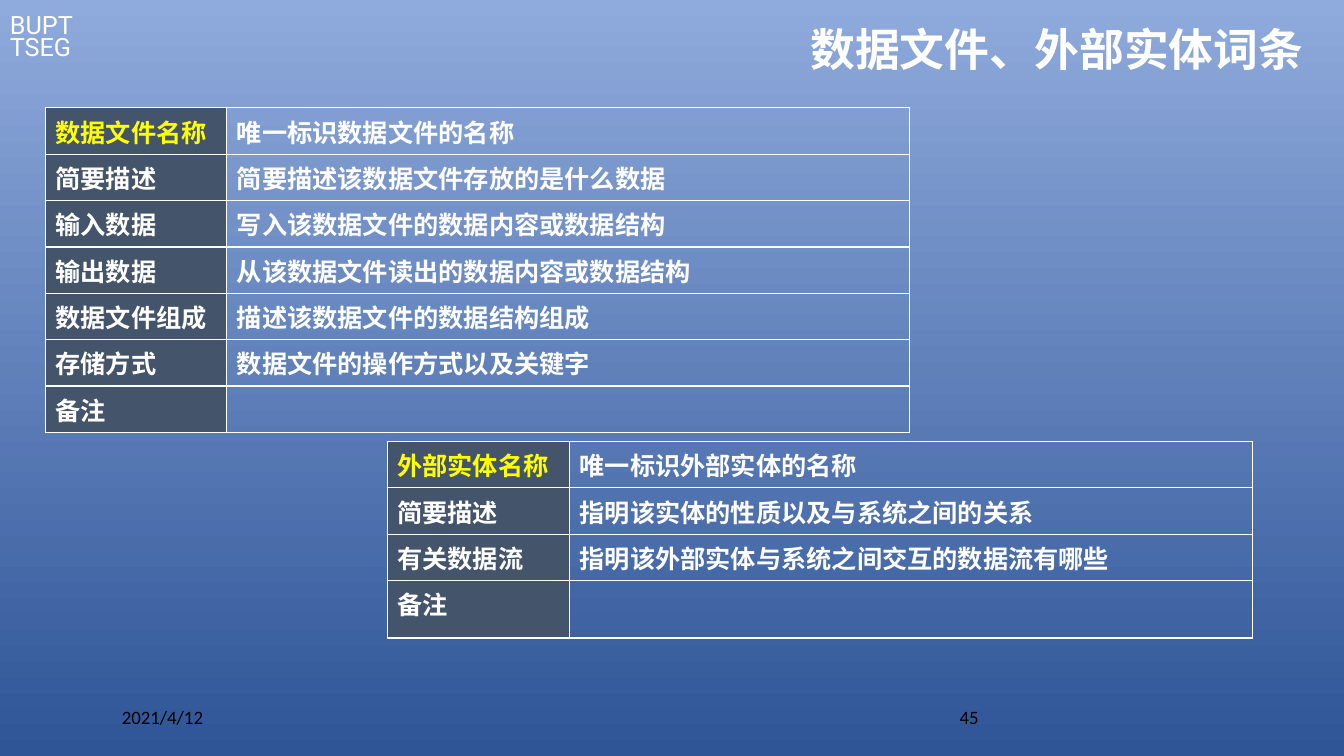
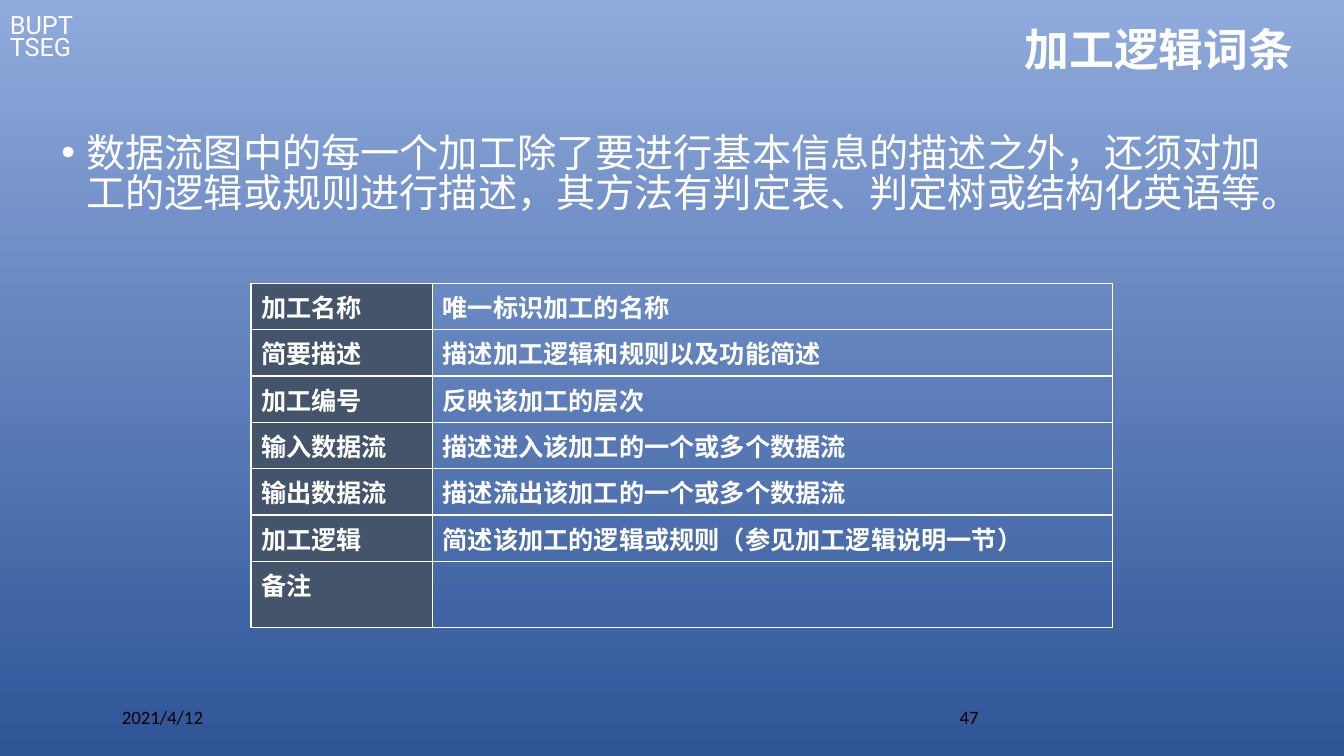
import pptx
import pptx.util
import pptx.dml.color
import pptx.enum.text
import pptx.oxml
import pptx.oxml.ns
from lxml import etree

Inches = pptx.util.Inches
Pt = pptx.util.Pt
RGB = pptx.dml.color.RGBColor.from_string
qn = pptx.oxml.ns.qn

COLORS = {"sky": "8FAADC", "deep": "2F5597", "label": "44546A",
          "white": "FFFFFF", "key": "FFFF00", "black": "000000"}
CJK = "Noto Sans CJK SC"
DATE = "2021/4/12"
ROW = 0.46

FILES = [
    ("数据文件名称", "唯一标识数据文件的名称"),
    ("简要描述", "简要描述该数据文件存放的是什么数据"),
    ("输入数据", "写入该数据文件的数据内容或数据结构"),
    ("输出数据", "从该数据文件读出的数据内容或数据结构"),
    ("数据文件组成", "描述该数据文件的数据结构组成"),
    ("存储方式", "数据文件的操作方式以及关键字"),
    ("备注", ""),
]
ENTITIES = [
    ("外部实体名称", "唯一标识外部实体的名称"),
    ("简要描述", "指明该实体的性质以及与系统之间的关系"),
    ("有关数据流", "指明该外部实体与系统之间交互的数据流有哪些"),
    ("备注", ""),
]
PROCESS = [
    ("加工名称", "唯一标识加工的名称"),
    ("简要描述", "描述加工逻辑和规则以及功能简述"),
    ("加工编号", "反映该加工的层次"),
    ("输入数据流", "描述进入该加工的一个或多个数据流"),
    ("输出数据流", "描述流出该加工的一个或多个数据流"),
    ("加工逻辑", "简述该加工的逻辑或规则（参见加工逻辑说明一节）"),
    ("备注", ""),
]
SLIDES = [
    {"title": "数据文件、外部实体词条", "number": "45", "tables": [
        {"rows": FILES, "at": (0.45, 1.07), "cols": (1.8, 6.77),
         "last": ROW, "key": "key"},
        {"rows": ENTITIES, "at": (3.84, 4.38), "cols": (1.81, 6.77),
         "last": 0.57, "key": "key"},
    ]},
    {"title": "加工逻辑词条 ", "number": "47",
     "body": "数据流图中的每一个加工除了要进行基本信息的描述之外，还须对加工的逻辑或规则"
             "进行描述，其方法有判定表、判定树或结构化英语等。",
     "tables": [
         {"rows": PROCESS, "at": (2.49, 2.81), "cols": (1.8, 6.74),
          "last": 0.66, "key": "white"},
     ]},
]


def style(para, size, color, name=CJK, bold=False):
    font = para.font
    font.size, font.bold, font.name = Pt(size), bold, name
    font.color.rgb = RGB(COLORS[color])
    latin = para._p.pPr.find(".//" + qn("a:latin"))
    latin.addnext(latin.makeelement(qn("a:ea"), {"typeface": name}))


def hang(para, left):
    props = para._p.get_or_add_pPr()
    props.set("marL", str(Inches(left)))
    props.set("indent", str(-Inches(left)))
    return props


def add_text(slide, box, text):
    frame = slide.shapes.add_textbox(*map(Inches, box)).text_frame
    frame.word_wrap = True
    para = frame.paragraphs[0]
    para.text = text
    return frame, para


def add_frame(slide, title, number):
    """Add the mark, title, date and slide number that every slide has."""
    _, para = add_text(slide, (0, 0.11, 1.39, 0.57), "BUPT TSEG")
    para.line_spacing = 0.75
    style(para, 18, "white", "Roboto")
    frame, para = add_text(slide, (1.73, 0.16, 11.3, 0.71), title)
    frame.vertical_anchor = pptx.enum.text.MSO_ANCHOR.MIDDLE
    para.alignment = pptx.enum.text.PP_ALIGN.RIGHT
    para.line_spacing = 0.9
    style(para, 32, "white", bold=True)
    for left, text in ((1.11, DATE), (9.42, number)):
        _, para = add_text(slide, (left, 6.95, 3, 0.4), text)
        style(para, 13.5, "black", "Calibri")


def add_body(slide, text):
    _, para = add_text(slide, (0.51, 1.3, 12.3, 1.2), text)
    para.line_spacing = 0.85
    props = hang(para, 0.25)
    etree.SubElement(props, qn("a:buFont"), typeface="Arial")
    etree.SubElement(props, qn("a:buChar"), char="•")
    style(para, 28, "white")


def add_edges(cell):
    props = cell._tc.get_or_add_tcPr()
    for place, side in enumerate(("lnL", "lnR", "lnT", "lnB")):
        line = props.makeelement(qn("a:" + side), {"w": str(Pt(1))})
        fill = etree.SubElement(line, qn("a:solidFill"))
        etree.SubElement(fill, qn("a:srgbClr"), val=COLORS["white"])
        props.insert(place, line)


def add_grid(slide, rows, at, cols, last, key):
    heights = [ROW] * (len(rows) - 1) + [last]
    table = slide.shapes.add_table(
        len(rows), len(cols), *map(Inches, (*at, sum(cols), sum(heights)))).table
    table.first_row = table.horz_banding = False
    for col, width in zip(table.columns, cols):
        col.width = Inches(width)
    for r, (texts, height) in enumerate(zip(rows, heights)):
        table.rows[r].height = Inches(height)
        for c, text in enumerate(texts):
            cell = table.cell(r, c)
            if c == 0:
                cell.fill.solid()
                cell.fill.fore_color.rgb = RGB(COLORS["label"])
            else:
                cell.fill.background()
            add_edges(cell)
            para = cell.text_frame.paragraphs[0]
            para.text = text
            hang(para, 0.49)
            style(para, 18, key if r == c == 0 else "white", bold=True)


def main():
    deck = pptx.Presentation()
    deck.slide_width, deck.slide_height = Inches(13.33), Inches(7.5)
    fill = deck.slide_master.background.fill
    fill.gradient()
    fill.gradient_angle = 270
    for stop, place, name in zip(fill.gradient_stops, (0, 1), ("sky", "deep")):
        stop.position = place
        stop.color.rgb = RGB(COLORS[name])
    for page in SLIDES:
        slide = deck.slides.add_slide(deck.slide_layouts[6])
        add_frame(slide, page["title"], page["number"])
        if "body" in page:
            add_body(slide, page["body"])
        for grid in page["tables"]:
            add_grid(slide, **grid)
    deck.save("out.pptx")


if __name__ == "__main__":
    main()
